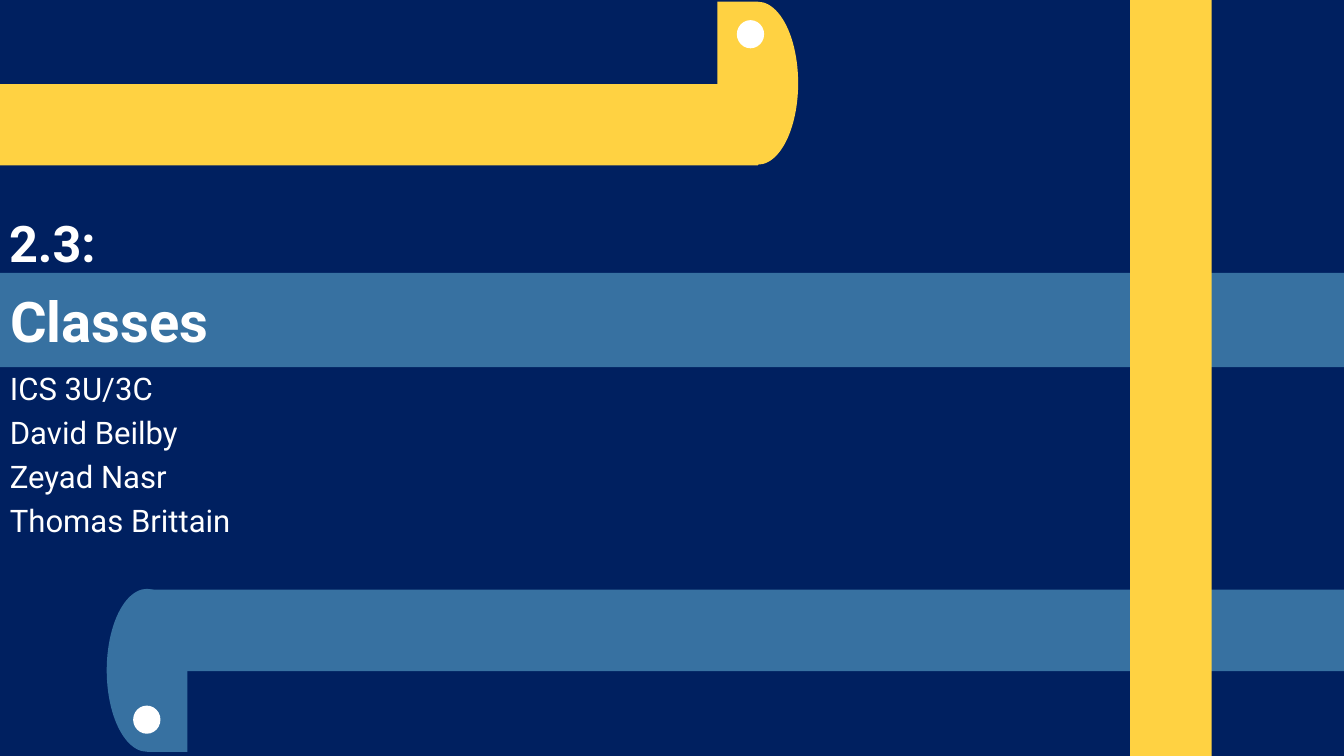
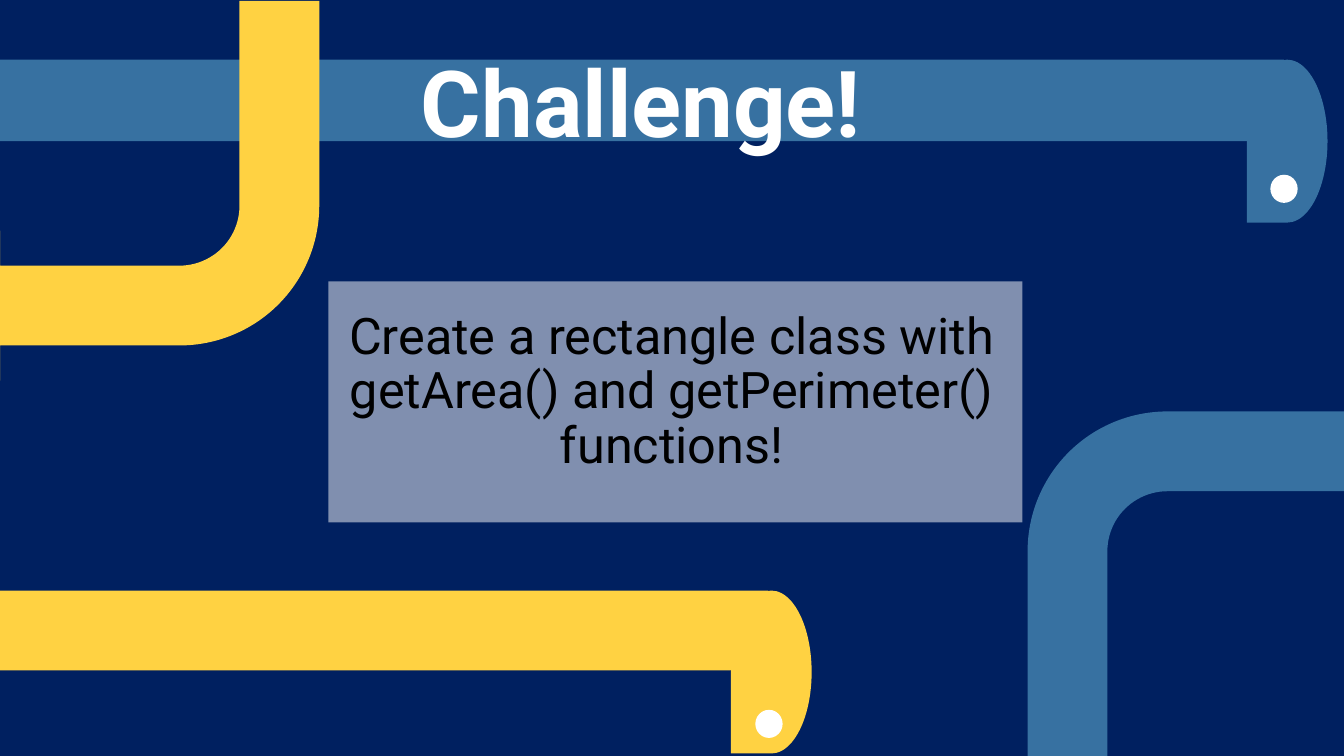
"""Builds a two-slide lesson on classes, framed by yellow and blue snakes."""
from lxml.etree import SubElement
from pptx import Presentation
from pptx.dml.color import RGBColor
from pptx.enum.shapes import MSO_SHAPE
from pptx.enum.text import MSO_ANCHOR, MSO_AUTO_SIZE, PP_ALIGN
from pptx.oxml.ns import qn
from pptx.util import Inches, Pt

NAVY = RGBColor(0x00, 0x20, 0x60)
BLUE = RGBColor(0x37, 0x71, 0xA1)
YELLOW = RGBColor(0xFF, 0xD2, 0x42)
WHITE = RGBColor(0xFF, 0xFF, 0xFF)
BLACK = RGBColor(0x00, 0x00, 0x00)
FONT = "Roboto"

COLUMNS, ROWS = 160, 90
CELL = Inches(7.5) / ROWS
BODY = 9.7
HEAD = (9.6, 19.4)
EYE = (3.25, 3.35)
BEND = (38, 45.2)

deck = Presentation()
deck.slide_width = Inches(13.33)
deck.slide_height = Inches(7.5)
deck.slide_master.background.fill.solid()
deck.slide_master.background.fill.fore_color.rgb = NAVY
title_only = deck.slide_layouts[5]


def add_piece(slide, kind, box, color, turn=0):
    """Add a plain shape that fills the box of grid cells after its turn."""
    left, top, width, height = box
    if turn % 180:
        left, top = left + (width - height) / 2, top + (height - width) / 2
        width, height = height, width
    piece = slide.shapes.add_shape(
        kind, *(int(cells * CELL) for cells in (left, top, width, height)))
    piece.rotation = turn
    piece.shadow.inherit = False
    piece.fill.solid()
    piece.fill.fore_color.rgb = color
    piece.line.fill.background()
    return piece


def write(holder, box, lines, size, color=WHITE, bold=False, align=PP_ALIGN.LEFT,
          anchor=MSO_ANCHOR.TOP, leading=None, before=0):
    """Place a text holder on the grid and give each line its own paragraph."""
    holder.left, holder.top, holder.width, holder.height = (
        int(cells * CELL) for cells in box)
    frame = holder.text_frame
    frame.text = "\n".join(lines)
    frame.word_wrap = True
    frame.auto_size = MSO_AUTO_SIZE.NONE
    frame.vertical_anchor = anchor
    for paragraph in frame.paragraphs:
        paragraph.alignment = align
        paragraph.line_spacing = leading
        paragraph.space_before = Pt(before)
        paragraph.font.name = FONT
        paragraph.font.size = Pt(size)
        paragraph.font.bold = bold
        paragraph.font.color.rgb = color


opening = deck.slides.add_slide(title_only)
challenge = deck.slides.add_slide(title_only)

for slide, box, heading, size, align in (
        (opening, (0, 32.5, COLUMNS, 11.2), "Classes", 40, PP_ALIGN.LEFT),
        (challenge, (-0.2, 7.1, 153, BODY), "Challenge!", 66, PP_ALIGN.CENTER)):
    title = slide.shapes.title
    title.fill.solid()
    title.fill.fore_color.rgb = BLUE
    write(title, box, [heading], size, bold=True, align=align,
          anchor=MSO_ANCHOR.MIDDLE)

for slide, box, color in (
        (opening, (17.5, 70.2, COLUMNS - 17.5, BODY), BLUE),
        (opening, (0, 10, 90.2, BODY), YELLOW),
        (opening, (134.5, 0, BODY, ROWS), YELLOW),
        (challenge, (-0.4, 70.3, 91.8, 9.5), YELLOW)):
    add_piece(slide, MSO_SHAPE.RECTANGLE, box, color)

for left, top, color, turn in ((122.3, 44.8, BLUE, 0), (0, 0.1, YELLOW, 180)):
    bend = add_piece(challenge, MSO_SHAPE.BENT_ARROW, (left, top, *BEND), color, turn)
    for index, share in enumerate((0.25, 0.235, 0, 0.438)):
        bend.adjustments[index] = share

for slide, head_at, eye_at, color, turn in (
        (opening, (85.4, 0.2), (87.7, 2.4), YELLOW, 270),
        (opening, (12.7, 70.1), (15.85, 84), BLUE, 90),
        (challenge, (148.4, 7.1), (151.2, 20.8), BLUE, 180),
        (challenge, (87, 70.3), (89.9, 84.5), YELLOW, 180)):
    add_piece(slide, MSO_SHAPE.TEAR, (*head_at, *HEAD), color, turn)
    add_piece(slide, MSO_SHAPE.FLOWCHART_CONNECTOR, (*eye_at, *EYE), WHITE)

panel = add_piece(challenge, MSO_SHAPE.RECTANGLE, (39.1, 33.5, 82.6, 28.7), WHITE)
panel_color = panel.element.spPr.find(".//" + qn("a:srgbClr"))
SubElement(panel_color, qn("a:alpha")).set("val", "50000")

unit = opening.shapes.add_textbox(0, 0, 0, 0)
write(unit, (-0.1, 24.6, 16.1, 8.5), ["2.3:"], 36, bold=True)

authors = opening.shapes.add_textbox(0, 0, 0, 0)
write(authors, (0, 44.3, 91, 21.7),
      ["ICS 3U/3C", "David Beilby", "Zeyad Nasr", "Thomas Brittain"],
      22.2, leading=0.8, before=10)

task = challenge.shapes.add_textbox(0, 0, 0, 0)
write(task, (39.8, 36.4, 80.3, 22.8),
      ["Create a rectangle class with getArea() and getPerimeter() functions!"],
      36, color=BLACK, align=PP_ALIGN.CENTER, leading=0.9, before=10)

deck.save("out.pptx")
